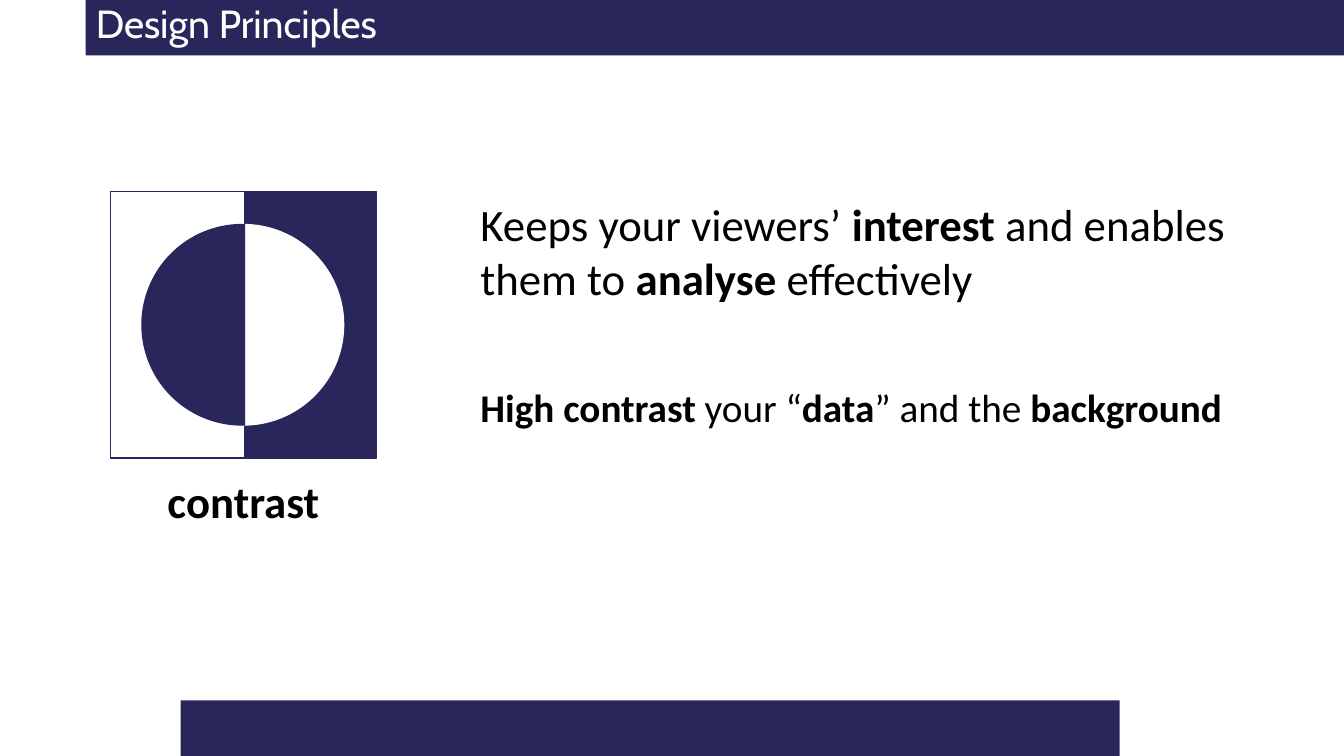
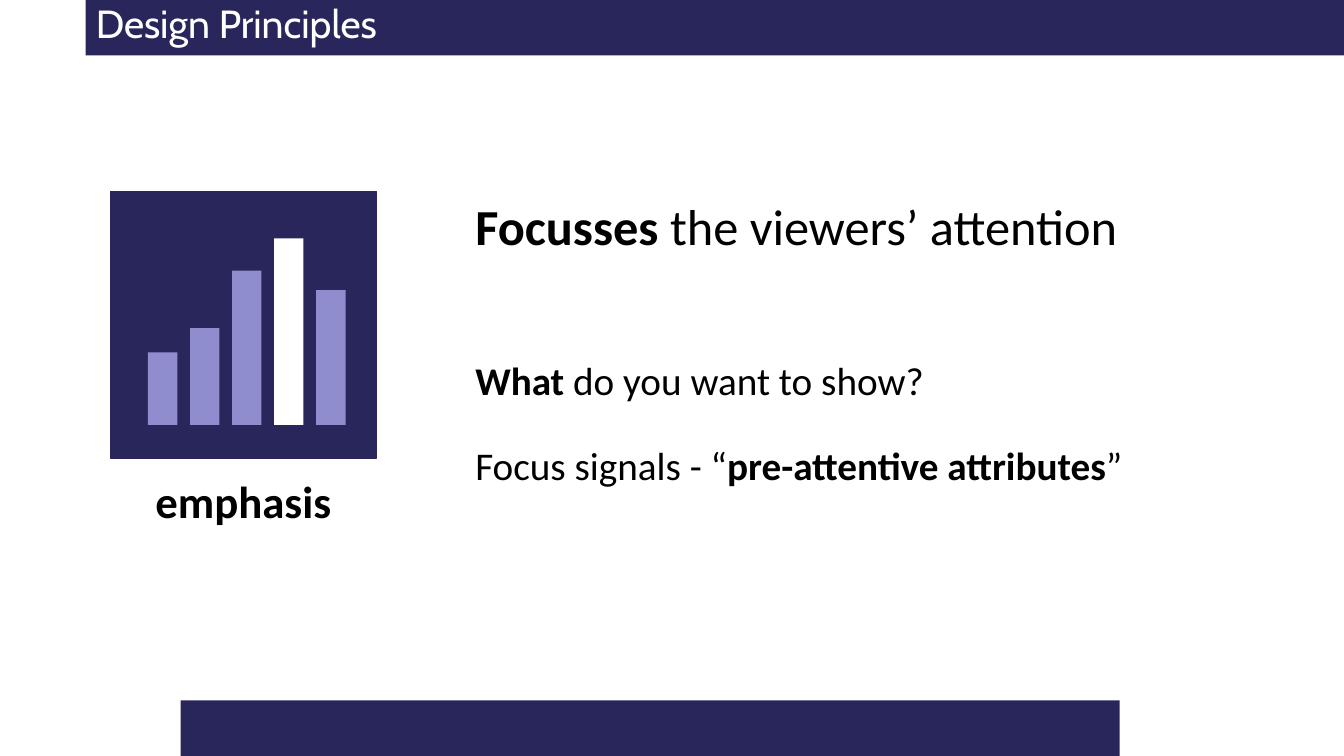
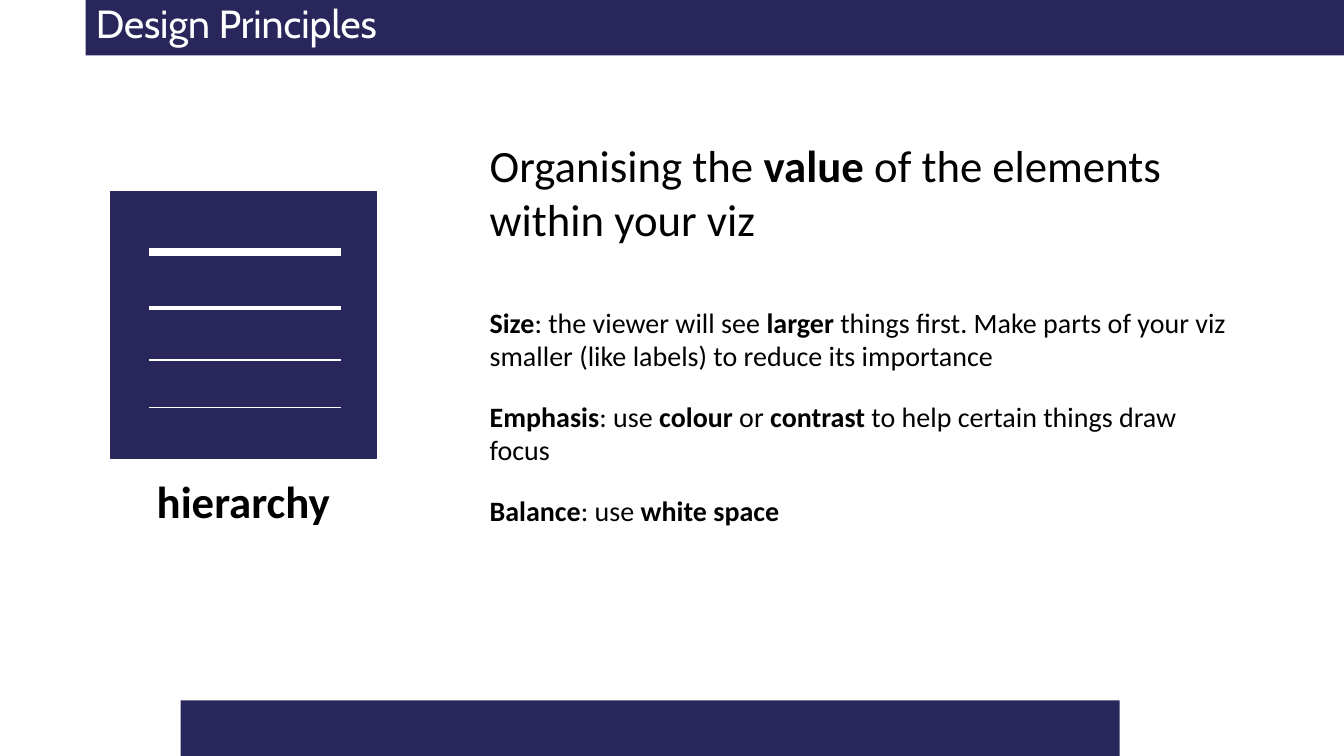
from dataclasses import dataclass
from typing import Callable

from lxml.etree import SubElement
from pptx import Presentation
from pptx.dml.color import RGBColor
from pptx.enum.shapes import MSO_CONNECTOR, MSO_SHAPE
from pptx.enum.text import MSO_ANCHOR, MSO_AUTO_SIZE, PP_ALIGN
from pptx.oxml.ns import qn
from pptx.util import Cm, Pt

COLORS = {"navy": "29265B", "lilac": "908DCF", "white": "FFFFFF", "black": "000000"}
SLIDE_W, SLIDE_H = 33.87, 19.05
BAND_H, BAND_LEFT = 1.4, 2.16
ICON_LEFT, ICON_TOP, ICON_SIDE = 2.78, 4.83, 6.71
CAPTION_TOP, CAPTION_H = 11.8, 1.63
TEXT_W = 19.35


@dataclass
class Note:
    text: str
    top: float
    height: float
    size: int


@dataclass
class Principle:
    name: str
    draw_icon: Callable
    text_left: float
    notes: list[Note]


def rgb(name: str) -> RGBColor:
    return RGBColor.from_string(COLORS[name])


def add_filled(shapes, kind, left: float, top: float, width: float, height: float,
               fill: str, line: str | None = None):
    sp = shapes.add_shape(kind, Cm(left), Cm(top), Cm(width), Cm(height))
    sp.shadow.inherit = False
    sp.fill.solid()
    sp.fill.fore_color.rgb = rgb(fill)
    if line:
        sp.line.color.rgb = rgb(line)
        sp.line.width = Pt(1)
    else:
        sp.line.fill.background()
    return sp


def add_text(s, text: str, left: float, top: float, width: float, height: float,
             size: int, align=PP_ALIGN.LEFT) -> None:
    tf = s.shapes.add_textbox(Cm(left), Cm(top), Cm(width), Cm(height)).text_frame
    tf.word_wrap = True
    p = tf.paragraphs[0]
    p.alignment = align
    for i, part in enumerate(text.split("**")):
        if part:
            r = p.add_run()
            r.text = part
            r.font.name = "Calibri"
            r.font.size = Pt(size)
            r.font.bold = i % 2 == 1
            r.font.color.rgb = rgb("black")


def add_tile(shapes) -> None:
    add_filled(shapes, MSO_SHAPE.RECTANGLE, ICON_LEFT, ICON_TOP, ICON_SIDE, ICON_SIDE,
               "navy", "navy")


def draw_contrast(shapes) -> None:
    add_tile(shapes)
    add_filled(shapes, MSO_SHAPE.RECTANGLE, ICON_LEFT, ICON_TOP, 3.38, ICON_SIDE,
               "white", "navy")
    add_filled(shapes, MSO_SHAPE.OVAL, 3.61, 5.66, 5.05, 5.05, "white", "white")
    half = add_filled(shapes, MSO_SHAPE.CHORD, 3.58, 5.66, 5.05, 5.05, "navy", "navy")
    half.adjustments[0] = 53.23
    half.adjustments[1] = 162.77


def draw_emphasis(shapes) -> None:
    add_tile(shapes)
    left, pitch, baseline = 3.73, 1.06, 10.71
    heights = [1.83, 2.44, 3.89, 4.7, 3.4]
    for i, height in enumerate(heights):
        fill = "white" if height == max(heights) else "lilac"
        add_filled(shapes, MSO_SHAPE.RECTANGLE, left + i * pitch, baseline - height,
                   0.74, height, fill)


def draw_hierarchy(shapes) -> None:
    add_tile(shapes)
    for y, weight in [(6.35, 6), (7.77, 3), (9.07, 1.5), (10.26, 0.5)]:
        rule = shapes.add_connector(MSO_CONNECTOR.STRAIGHT, Cm(3.76), Cm(y), Cm(8.59), Cm(y))
        rule.line.color.rgb = rgb("white")
        rule.line.width = Pt(weight)
        SubElement(rule.element.spPr, qn("a:effectLst"))


def style_layout(layout, s) -> None:
    tree = layout.placeholders[0].element.getparent()
    for left, top, width in [(4.55, SLIDE_H - BAND_H, 23.67),
                             (BAND_LEFT, 0, SLIDE_W - BAND_LEFT)]:
        band = add_filled(s.shapes, MSO_SHAPE.RECTANGLE, left, top, width, BAND_H, "navy")
        tree.append(band.element)


def add_title(s, text: str) -> None:
    title = s.shapes.title
    title.left, title.top = Cm(BAND_LEFT), Cm(0)
    title.width, title.height = Cm(SLIDE_W - BAND_LEFT), Cm(BAND_H)
    tf = title.text_frame
    tf.text = text
    tf.auto_size = MSO_AUTO_SIZE.NONE
    tf.vertical_anchor = MSO_ANCHOR.TOP
    p = tf.paragraphs[0]
    p.alignment = PP_ALIGN.LEFT
    p.line_spacing = 0.9
    font = p.runs[0].font
    font.name = "Cabin"
    font.size = Pt(28)
    font.color.rgb = rgb("white")


def add_principle(s, principle: Principle) -> None:
    add_title(s, "Design Principles")
    principle.draw_icon(s.shapes.add_group_shape().shapes)
    add_text(s, f"**{principle.name}**", ICON_LEFT, CAPTION_TOP, ICON_SIDE, CAPTION_H,
             32, PP_ALIGN.CENTER)
    for note in principle.notes:
        add_text(s, note.text, principle.text_left, note.top, TEXT_W, note.height, note.size)


PRINCIPLES = [
    Principle("contrast", draw_contrast, 11.86, [
        Note("Keeps your viewers’ **interest **and enables them to **analyse **effectively",
             4.83, 3, 32),
        Note("**High contrast** your “**data**” and the **background**", 9.53, 1.45, 28),
    ]),
    Principle("emphasis", draw_emphasis, 11.73, [
        Note("**Focusses** the viewers’ attention", 4.8, 1.8, 36),
        Note("**What** do you want to show?", 8.86, 1.45, 28),
        Note("Focus signals - “**pre-attentive attributes**”", 11, 1.45, 28),
    ]),
    Principle("hierarchy", draw_hierarchy, 12.09, [
        Note("Organising the **value** of the elements within your viz", 3.35, 3, 32),
        Note("**Size**: the viewer will see **larger** things first. Make parts of your viz "
             "smaller (like labels) to reduce its importance", 7.57, 1.96, 20),
        Note("**Emphasis**: use **colour** or **contrast** to help certain things draw focus",
             9.93, 1.96, 20),
        Note("**Balance**: use **white space**", 12.32, 1.12, 20),
    ]),
]


def main() -> None:
    prs = Presentation()
    prs.slide_width, prs.slide_height = Cm(SLIDE_W), Cm(SLIDE_H)
    layout = prs.slide_layouts[5]
    slides = [prs.slides.add_slide(layout) for _ in PRINCIPLES]
    style_layout(layout, slides[0])
    for s, principle in zip(slides, PRINCIPLES):
        add_principle(s, principle)
    prs.save("out.pptx")


if __name__ == "__main__":
    main()
